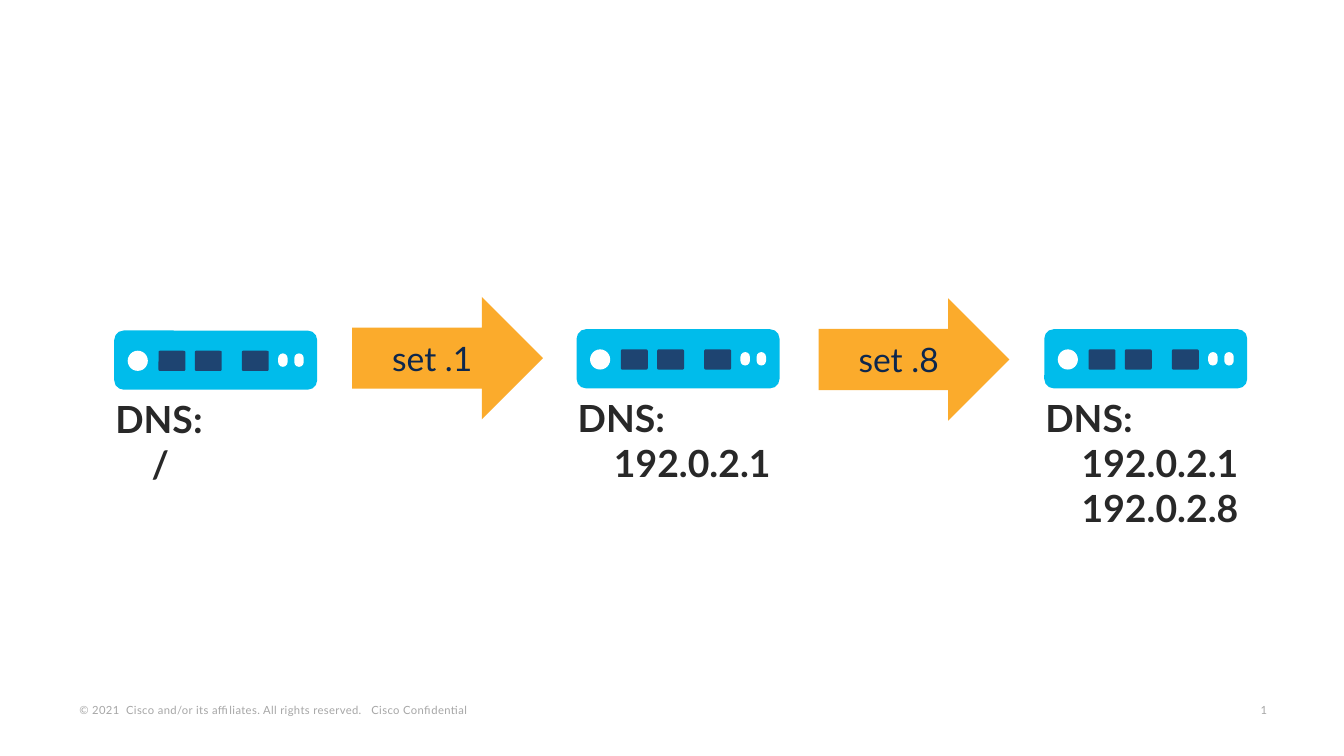
import pptx
import pptx.dml.color
import pptx.enum.shapes
import pptx.enum.text
import pptx.util

CYAN = pptx.dml.color.RGBColor(0x00, 0xBC, 0xEB)
NAVY = pptx.dml.color.RGBColor(0x1E, 0x44, 0x71)
WHITE = pptx.dml.color.RGBColor(0xFF, 0xFF, 0xFF)
ORANGE = pptx.dml.color.RGBColor(0xFB, 0xAB, 0x2C)
INK = pptx.dml.color.RGBColor(0x0D, 0x27, 0x4D)
CHARCOAL = pptx.dml.color.RGBColor(0x28, 0x28, 0x28)
GREY = pptx.dml.color.RGBColor(0xA6, 0xA6, 0xA6)

COLUMNS = 1000
ROWS = COLUMNS * 9 / 16
CELL = pptx.util.Inches(0.01)
ADDRESS_INDENT = 27

KIND = pptx.enum.shapes.MSO_SHAPE
ALIGN = pptx.enum.text.PP_ALIGN
ANCHOR = pptx.enum.text.MSO_ANCHOR


def cells(*counts):
    """Turn counts of grid cells into lengths."""
    return [int(count * CELL) for count in counts]


def write(frame, lines, size, color, bold=False, align=ALIGN.LEFT,
          anchor=ANCHOR.TOP, spacing=0, indent=0, inset=(10, 5), wrap=True):
    """Fill a text frame, indenting every line after the first."""
    frame.word_wrap = wrap
    frame.vertical_anchor = anchor
    frame.margin_left = frame.margin_right = inset[0] * CELL
    frame.margin_top = frame.margin_bottom = inset[1] * CELL
    for number, line in enumerate(lines):
        paragraph = frame.add_paragraph() if number else frame.paragraphs[0]
        paragraph.alignment = align
        if number and indent:
            paragraph._p.get_or_add_pPr().set("marL", str(indent * CELL))
        run = paragraph.add_run()
        run.text = line
        run.font.name = "Lato"
        run.font.size = pptx.util.Pt(size)
        run.font.bold = bold
        run.font.color.rgb = color
        if spacing:
            run._r.get_or_add_rPr().set("spc", str(spacing))


def add_solid(shapes, kind, place, color, rounding=None):
    """Add a filled preset shape without line or shadow."""
    solid = shapes.add_shape(kind, *cells(*place))
    solid.shadow.inherit = False
    solid.fill.solid()
    solid.fill.fore_color.rgb = color
    solid.line.fill.background()
    if rounding is not None:
        solid.adjustments[0] = rounding
    return solid


def add_device(slide, left, top, addresses):
    """Add a grouped network device with its DNS list below."""
    device = slide.shapes.add_group_shape().shapes
    add_solid(device, KIND.ROUNDED_RECTANGLE, (left, top, 151, 44), CYAN, 0.16)
    for port in (33, 60, 95):
        add_solid(device, KIND.ROUNDED_RECTANGLE,
                  (left + port, top + 15, 20, 15), NAVY, 0.07)
    add_solid(device, KIND.OVAL, (left + 10, top + 15, 15, 15), WHITE)
    for light in (122, 134):
        add_solid(device, KIND.ROUNDED_RECTANGLE,
                  (left + light, top + 17, 7, 10), WHITE, 0.5)
    dns = device.add_textbox(*cells(left - 9, top + 44, 164,
                                    10 + 33 * (1 + len(addresses))))
    write(dns.text_frame, ["DNS:", *addresses], size=20, color=CHARCOAL,
          bold=True, indent=ADDRESS_INDENT)


def add_step(slide, left, top, command):
    """Add a block arrow naming the command that is run."""
    arrow = add_solid(slide.shapes, KIND.RIGHT_ARROW, (left, top, 142, 91), ORANGE)
    write(arrow.text_frame, [command], size=18, color=INK,
          align=ALIGN.CENTER, anchor=ANCHOR.MIDDLE)


def add_footer(slide, left, width, text, wrap=True):
    """Add a small grey text at the foot of the slide."""
    footer = slide.shapes.add_textbox(*cells(left, 519, width, 17))
    write(footer.text_frame, [text], size=6, color=GREY, anchor=ANCHOR.BOTTOM,
          spacing=20, inset=(7, 3), wrap=wrap)


def main():
    """Build the slide and save it."""
    deck = pptx.Presentation()
    deck.slide_width, deck.slide_height = cells(COLUMNS, ROWS)
    slide = deck.slides.add_slide(deck.slide_layouts[6])
    add_footer(slide, 52, 372, "© 2021  Cisco and/or its affiliates. "
                               "All rights reserved.   Cisco Confidential")
    add_footer(slide, 931, 24, "1", wrap=False)
    add_device(slide, 85, 246, ["/"])
    add_device(slide, 429, 245, ["192.0.2.1"])
    add_device(slide, 777, 245, ["192.0.2.1", "192.0.2.8"])
    add_step(slide, 262, 221, "set .1")
    add_step(slide, 609, 222, "set .8")
    deck.save("out.pptx")


if __name__ == "__main__":
    main()
